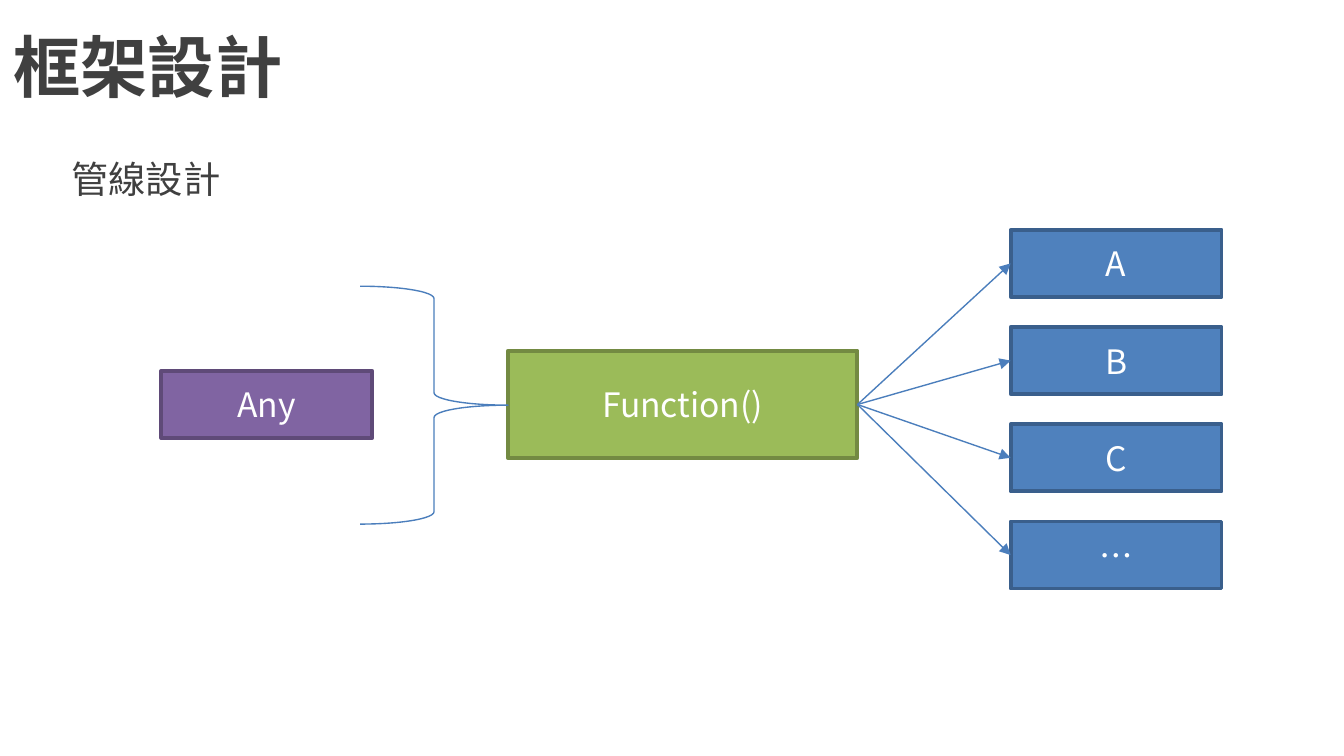
from lxml.etree import SubElement
from pptx import Presentation
from pptx.dml.color import RGBColor
from pptx.enum.shapes import MSO_CONNECTOR, MSO_SHAPE
from pptx.enum.text import MSO_ANCHOR, PP_ALIGN
from pptx.oxml.ns import qn
from pptx.util import Inches, Pt

SANS = "Noto Sans CJK SC"
LABEL = "Noto Sans CJK KR"
DARK = "404040"
BLUE = "4B7EBC"


def color(code):
    return RGBColor.from_string(code)


def write(shape, text, size=18, font=LABEL, ink="FFFFFF", bold=False,
          align=PP_ALIGN.CENTER):
    frame = shape.text_frame
    frame.word_wrap = True
    frame.vertical_anchor = MSO_ANCHOR.MIDDLE
    para = frame.paragraphs[0]
    para.alignment = align
    run = para.add_run()
    run.text = text
    run.font.size = Pt(size)
    run.font.bold = bold
    run.font.color.rgb = color(ink)
    run.font.name = font
    SubElement(run._r.get_or_add_rPr(), qn("a:ea"), typeface=font)
    return para


def place(shape, box):
    shape.left, shape.top, shape.width, shape.height = map(Inches, box)


def stroke(shape, ink, width):
    shape.line.color.rgb = color(ink)
    shape.line.width = Pt(width)


def node(slide, box, text, fill, edge):
    shape = slide.shapes.add_shape(MSO_SHAPE.RECTANGLE, *map(Inches, box))
    shape.shadow.inherit = False
    shape.fill.solid()
    shape.fill.fore_color.rgb = color(fill)
    stroke(shape, edge, 2)
    write(shape, text)


def brace(slide, box):
    shape = slide.shapes.add_shape(MSO_SHAPE.RIGHT_BRACE, *map(Inches, box))
    shape.shadow.inherit = False
    shape.fill.background()
    stroke(shape, BLUE, 0.75)


def arrow(slide, start, end):
    link = slide.shapes.add_connector(
        MSO_CONNECTOR.STRAIGHT, *map(Inches, (*start, *end)))
    stroke(link, BLUE, 0.75)
    SubElement(link.line._get_or_add_ln(), qn("a:tailEnd"), type="triangle")
    SubElement(link._element.spPr, qn("a:effectLst"))


def header(slide, box):
    left, top, width, height = box
    title, body = slide.placeholders
    place(title, (left, top, width, 0.97))
    write(title, "框架設計", size=36, font=SANS, ink=DARK, bold=True,
          align=PP_ALIGN.LEFT)
    place(body, (left + 0.43, top + height - 0.5, 9.29, 0.5))
    para = write(body, "管線設計", size=20, font=SANS, ink=DARK,
                 align=PP_ALIGN.LEFT)
    props = para._p.get_or_add_pPr()
    props.set("marL", "0")
    props.set("indent", "0")
    SubElement(props, qn("a:buNone"))


def flow(slide, box):
    left, top, width, height = box
    wide, high = 1.57, 0.5
    mid = top + 1.3
    hub = left + 2.58
    port = hub + 2.6
    out = left + width - wide
    names = ["A", "B", "C", "…"]
    step = (height - high) / (len(names) - 1)
    node(slide, (hub, mid - 0.4, 2.6, 0.8), "Function()", "9BBB59", "738A42")
    brace(slide, (hub - 1.1, mid - 0.88, 1.1, 1.77))
    for i, name in enumerate(names):
        y = top + i * step
        node(slide, (out, y, wide, high), name, "4F81BD", "3A5F8C")
        arrow(slide, (port, mid), (out, y + high / 2))
    node(slide, (left, mid - high / 2, wide, high), "Any", "8064A2", "5F4A78")


deck = Presentation()
deck.slide_width = Inches(10)
deck.slide_height = Inches(10 * 9 / 16)
slide = deck.slides.add_slide(deck.slide_layouts[1])
header(slide, (0, 0, 10, 1.58))
flow(slide, (1.2, 1.71, 7.89, 2.67))
deck.save("out.pptx")
